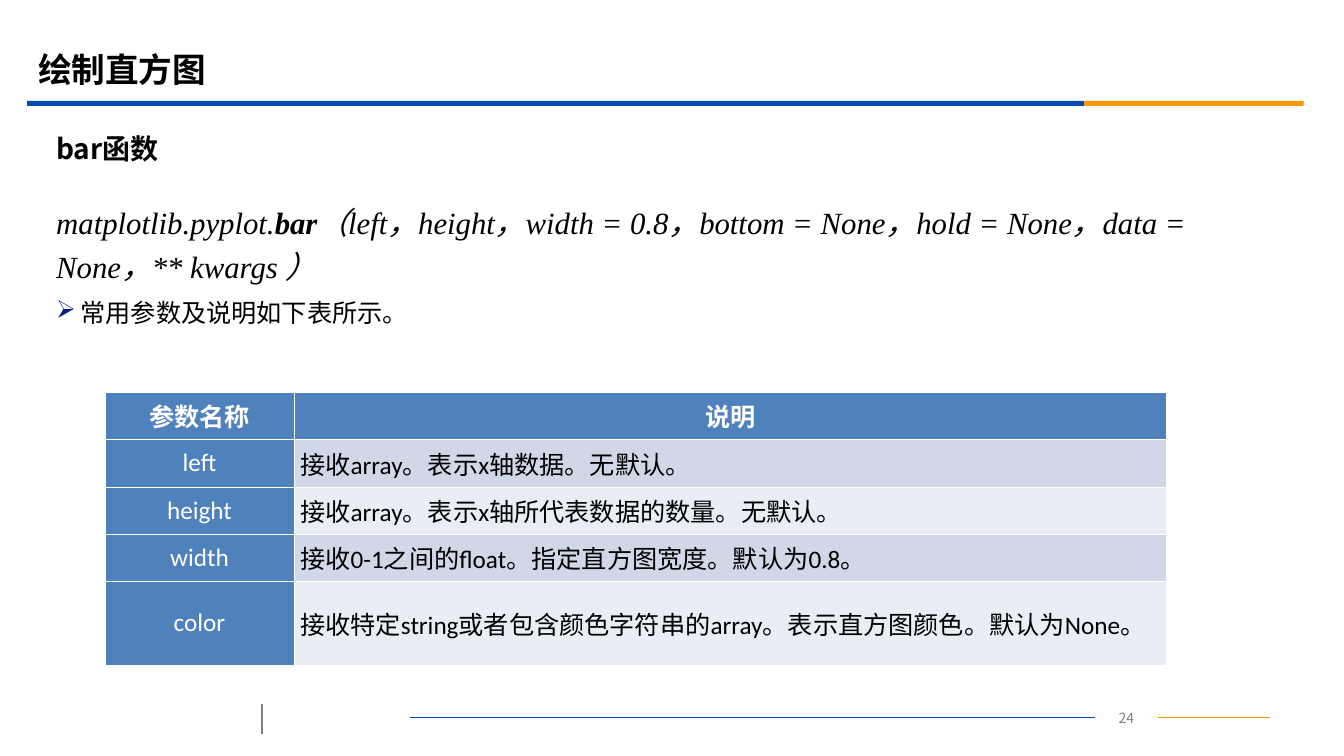
from itertools import groupby

from pptx import Presentation
from pptx.dml.color import RGBColor as RGB
from pptx.enum.shapes import MSO_CONNECTOR as Line, MSO_SHAPE as Shape
from pptx.enum.text import MSO_ANCHOR as Anchor, PP_ALIGN as Align
from pptx.oxml import parse_xml
from pptx.oxml.ns import nsdecls
from pptx.util import Inches, Pt

HEX = {
    "black": "000000", "white": "FFFFFF", "gray": "7F7F7F",
    "blue": "064BB2", "orange": "FB9708", "amber": "F19500",
    "navy": "032089", "head": "4F81BD", "dark": "D0D8E8", "light": "E9EDF4",
}
SANS, SERIF, LATIN = "Noto Sans CJK SC", "Times New Roman", "Calibri"
NS = nsdecls("a")


def write(par, text, size, face, color="black", bold=False, slant=False):
    """Add a run in the given face, with Chinese letters in SANS."""
    run = par.add_run()
    run.text = text
    font = run.font
    font.size, font.name, font.bold, font.italic = Pt(size), face, bold, slant
    font.color.rgb = RGB.from_string(HEX[color])
    run._r.get_or_add_rPr().append(
        parse_xml(f'<a:ea {NS} typeface="{SANS}"/>'))


def frame(left, top, width, height, anchor=Anchor.TOP):
    """Add a wrapping text box and return its text frame."""
    box = slide.shapes.add_textbox(
        Inches(left), Inches(top), Inches(width), Inches(height))
    body = box.text_frame
    body.word_wrap = True
    body.vertical_anchor = anchor
    return body


deck = Presentation()
deck.slide_width, deck.slide_height = Inches(13.34), Inches(7.5)
slide = deck.slides.add_slide(deck.slide_layouts[6])

# Title rule
for left, width, color in [(0.27, 10.49, "blue"), (10.76, 2.18, "orange")]:
    bar = slide.shapes.add_shape(
        Shape.RECTANGLE, Inches(left), Inches(1), Inches(width), Inches(0.05))
    bar.shadow.inherit = False
    bar.fill.solid()
    bar.fill.fore_color.rgb = RGB.from_string(HEX[color])
    bar.line.fill.background()

# Footer
rules = [
    (11.49, 7.12, 12.61, 7.12, "amber", 0.75),
    (4.07, 7.12, 10.87, 7.12, "blue", 0.75),
    (2.6, 6.98, 2.6, 7.28, "gray", 1.25),
]
for *ends, color, weight in rules:
    rule = slide.shapes.add_connector(Line.STRAIGHT, *map(Inches, ends))
    rule.line.fill.solid()
    rule.line.fill.fore_color.rgb = RGB.from_string(HEX[color])
    rule.line.width = Pt(weight)
    rule._element.spPr.append(parse_xml(f"<a:effectLst {NS}/>"))

page = frame(10.87, 6.99, 0.62, 0.25).paragraphs[0]
page.alignment = Align.CENTER
write(page, "24", 10, SANS, "gray")

# Headings
title = frame(0.28, 0.39, 12, 0.58, Anchor.MIDDLE)
write(title.paragraphs[0], "绘制直方图", 24, SANS, bold=True)
topic = frame(0.46, 1.24, 12.15, 0.47, Anchor.MIDDLE)
write(topic.paragraphs[0], "bar函数", 20, SANS, bold=True)

# Signature and note
body = frame(0.46, 1.9, 12.15, 4.78)
call = body.paragraphs[0]
call.line_spacing = 1.2
write(call, "matplotlib.pyplot.", 22, SERIF, slant=True)
write(call, "bar", 22, SERIF, bold=True, slant=True)
write(call, "（left，height，width = 0.8，bottom = None，hold = None，"
      "data = None，** kwargs ）", 22, SERIF, slant=True)

note = body.add_paragraph()
note.line_spacing, note.space_before = 1.2, Pt(4.5)
props = note._p.get_or_add_pPr()
props.set("marL", str(Inches(0.24)))
props.set("indent", str(Inches(-0.24)))
props.append(parse_xml(
    f'<a:buClr {NS}><a:srgbClr val="{HEX["navy"]}"/></a:buClr>'))
props.append(parse_xml(f'<a:buChar {NS} char="➢"/>'))
write(note, "常用参数及说明如下表所示。", 18, SERIF)

# Parameter table
rows = [
    ("参数名称", "说明"),
    ("left", "接收array。表示x轴数据。无默认。"),
    ("height", "接收array。表示x轴所代表数据的数量。无默认。"),
    ("width", "接收0-1之间的float。指定直方图宽度。默认为0.8。"),
    ("color", "接收特定string或者包含颜色字符串的array。表示直方图颜色。默认为None。"),
]
heights = [0.47] * 4 + [0.83]
table = slide.shapes.add_table(
    len(rows), 2, Inches(1.04), Inches(3.89),
    Inches(10.54), Inches(sum(heights))).table
for col, width in zip(table.columns, (1.88, 8.66)):
    col.width = Inches(width)

for r, row in enumerate(rows):
    table.rows[r].height = Inches(heights[r])
    for c, text in enumerate(row):
        cell = table.cell(r, c)
        cell.margin_left = cell.margin_right = Inches(0.06)
        cell.vertical_anchor = Anchor.MIDDLE
        for side in "LRTB":
            thick = (r, side) in [(0, "B"), (1, "T")]
            weight = Pt(1.47 if thick else 0.45)
            cell._tc.get_or_add_tcPr().append(parse_xml(
                f'<a:ln{side} {NS} w="{weight}"><a:solidFill>'
                f'<a:srgbClr val="{HEX["white"]}"/></a:solidFill></a:ln{side}>'))
        label = r == 0 or c == 0
        shade = "head" if label else "dark" if r % 2 else "light"
        cell.fill.solid()
        cell.fill.fore_color.rgb = RGB.from_string(HEX[shade])
        par = cell.text_frame.paragraphs[0]
        par.alignment = Align.CENTER if label else Align.JUSTIFY
        for plain, part in groupby(text, str.isascii):
            write(par, "".join(part), 18, LATIN if plain else SANS,
                  "white" if label else "black", bold=r == 0)

deck.save("out.pptx")
